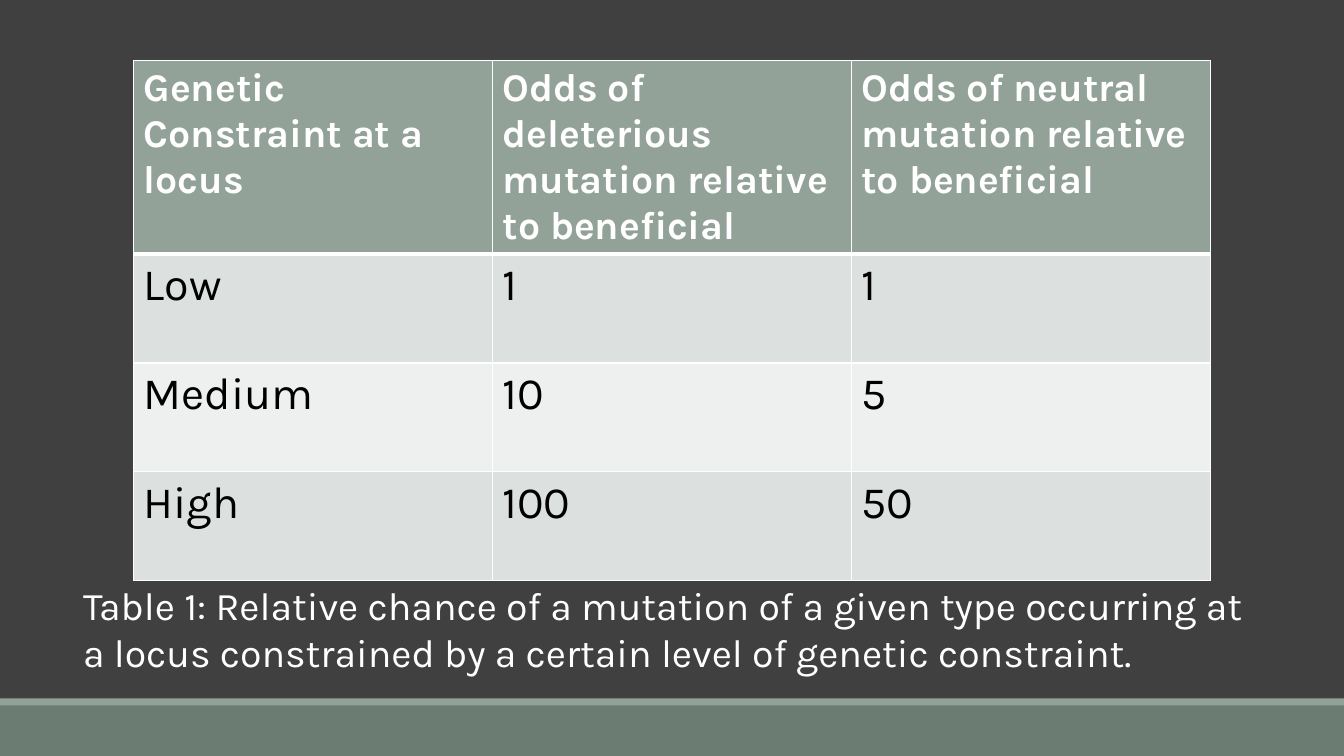
from lxml.etree import SubElement
from pptx import Presentation
from pptx.dml.color import RGBColor
from pptx.enum.shapes import MSO_SHAPE
from pptx.oxml.ns import qn
from pptx.util import Inches, Pt

# Content
ROWS = [
    ("Genetic Constraint at a locus",
     "Odds of deleterious mutation relative to beneficial",
     "Odds of neutral mutation relative to beneficial"),
    ("Low", "1", "1"),
    ("Medium", "10", "5"),
    ("High", "100", "50"),
]
CAPTION = ("Table 1: Relative chance of a mutation of a given type occurring at "
           "a locus constrained by a certain level of genetic constraint.")

# Style and grid, in inches
FONT = "Karla"
WHITE, BLACK, DARK = "FFFFFF", "000000", "404040"
SAGE, MOSS = "93A299", "6B7D72"
BANDS = ("EEF0EF", "DCE0DE")
SLIDE_W, SLIDE_H = 13.33, 7.5
FOOTER_H, STRIPE_H = 0.5, 0.07
COL_W, HEAD_H, ROW_H = 3.56, 0.97, 1.08
TABLE_TOP = 0.6
CAPTION_W, CAPTION_TOP, CAPTION_H = 11.88, 5.72, 1.04


def rgb(color):
    return RGBColor.from_string(color)


def paint(sp, color):
    sp.fill.solid()
    sp.fill.fore_color.rgb = rgb(color)


def write(tf, text, size, color, bold=False):
    r = tf.paragraphs[0].add_run()
    r.text = text
    r.font.name = FONT
    r.font.size = Pt(size)
    r.font.bold = bold
    r.font.color.rgb = rgb(color)


def add_borders(cell, widths):
    tcPr = cell._tc.get_or_add_tcPr()
    for i, (side, width) in enumerate(widths.items()):
        ln = tcPr.makeelement(qn("a:ln" + side), {"w": str(Pt(width))})
        fill = SubElement(ln, qn("a:solidFill"))
        SubElement(fill, qn("a:srgbClr"), val=WHITE)
        tcPr.insert(i, ln)


prs = Presentation()
prs.slide_width, prs.slide_height = Inches(SLIDE_W), Inches(SLIDE_H)
slide = prs.slides.add_slide(prs.slide_layouts[6])
paint(slide.background, DARK)

# Footer bar with the stripe above it
footer_top = SLIDE_H - FOOTER_H
for top, height, color in ((footer_top, FOOTER_H, MOSS),
                           (footer_top - STRIPE_H, STRIPE_H, SAGE)):
    sp = slide.shapes.add_shape(MSO_SHAPE.RECTANGLE, 0, Inches(top),
                                prs.slide_width, Inches(height))
    sp.shadow.inherit = False
    sp.line.fill.background()
    paint(sp, color)

# Table, centred across the slide
n_cols = len(ROWS[0])
table_w = n_cols * COL_W
table_h = HEAD_H + (len(ROWS) - 1) * ROW_H
table = slide.shapes.add_table(
    len(ROWS), n_cols, Inches((SLIDE_W - table_w) / 2), Inches(TABLE_TOP),
    Inches(table_w), Inches(table_h)).table
for col in table.columns:
    col.width = Inches(COL_W)
for i, row in enumerate(ROWS):
    head = i == 0
    table.rows[i].height = Inches(HEAD_H if head else ROW_H)
    for j, text in enumerate(row):
        cell = table.cell(i, j)
        paint(cell, SAGE if head else BANDS[i % 2])
        write(cell.text_frame, text, 28 if head else 32,
              WHITE if head else BLACK, bold=head)
        add_borders(cell, {"L": 1, "R": 1, "T": 3 if i == 1 else 1,
                           "B": 3 if head else 1})

# Caption
caption = slide.shapes.add_textbox(
    Inches((SLIDE_W - CAPTION_W) / 2), Inches(CAPTION_TOP),
    Inches(CAPTION_W), Inches(CAPTION_H))
caption.text_frame.word_wrap = True
write(caption.text_frame, CAPTION, 28, WHITE)

prs.save("out.pptx")
